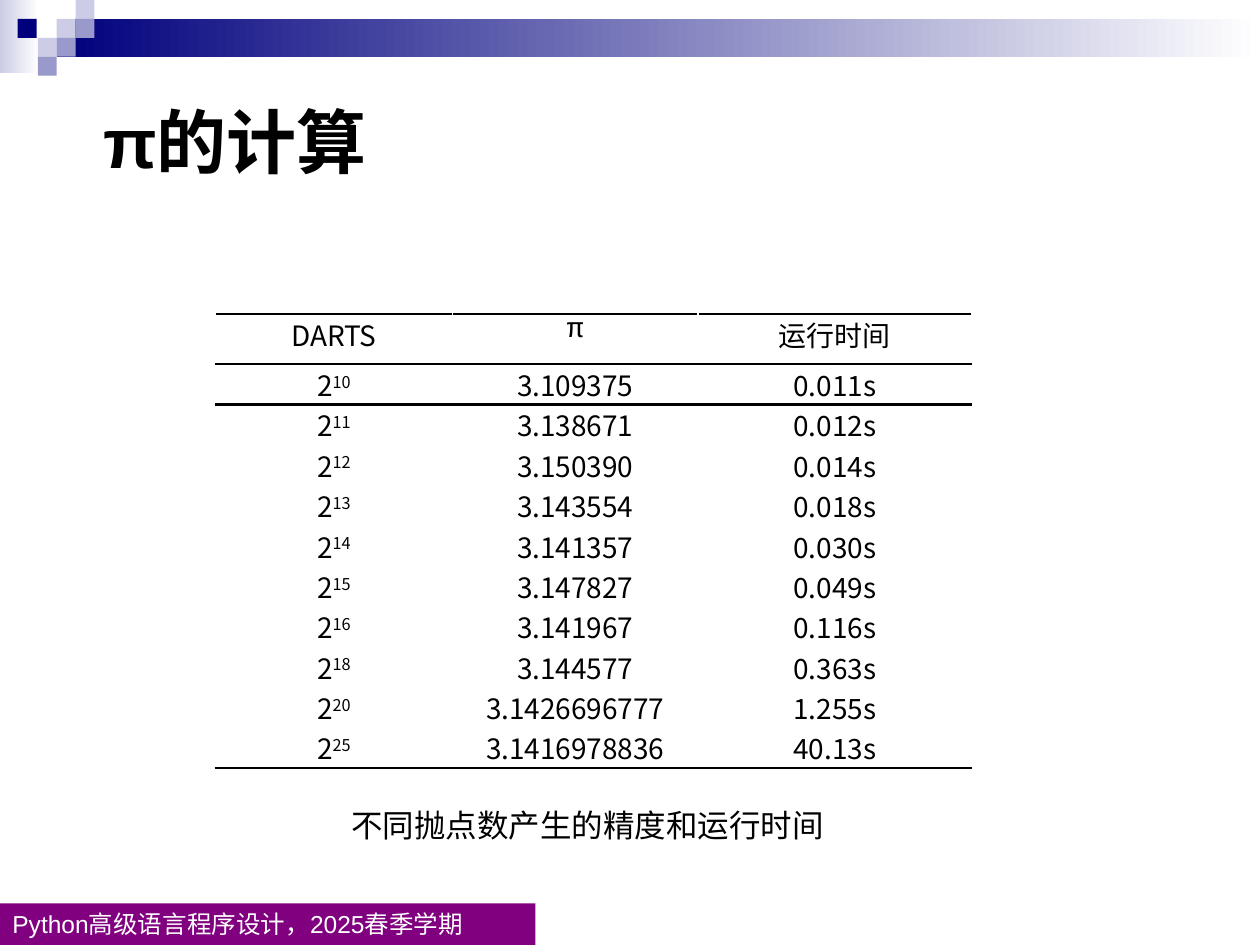
import dataclasses

import lxml.etree
import pptx
import pptx.dml.color
import pptx.enum.shapes
import pptx.enum.text
import pptx.oxml
import pptx.oxml.ns
import pptx.util

Inches = pptx.util.Inches
Pt = pptx.util.Pt
qn = pptx.oxml.ns.qn


@dataclasses.dataclass(frozen=True)
class Theme:
    navy: str = "00007D"
    mid: str = "9999CC"
    pale: str = "CCCCE6"
    white: str = "FFFFFF"
    black: str = "000000"
    purple: str = "800080"
    latin: str = "Arial"
    chinese: str = "Noto Sans CJK SC"
    title_size: int = 40
    caption_size: int = 18
    table_size: int = 16
    footer_size: int = 14
    rule_width: float = 1.5


THEME = Theme()
TILE = 0.15
TILES = [
    (0.45, 0.15, THEME.pale),
    (0.6, 0, THEME.pale),
    (0.6, 0.15, THEME.mid),
    (0.3, 0.3, THEME.pale),
    (0.14, 0.15, THEME.navy),
    (0.45, 0.3, THEME.mid),
    (0.3, 0.45, THEME.mid),
]
HEADERS = [("DARTS", THEME.chinese), ("π", "Courier New"), ("运行时间", "Calibri")]
RESULTS = [
    ("10", "3.109375", "0.011s"),
    ("11", "3.138671", "0.012s"),
    ("12", "3.150390", "0.014s"),
    ("13", "3.143554", "0.018s"),
    ("14", "3.141357", "0.030s"),
    ("15", "3.147827", "0.049s"),
    ("16", "3.141967", "0.116s"),
    ("18", "3.144577", "0.363s"),
    ("20", "3.1426696777", "1.255s"),
    ("25", "3.1416978836", "40.13s"),
]


def rgb(value):
    return pptx.dml.color.RGBColor.from_string(value)


def add_span(para, text, size, font=THEME.latin, color=THEME.black,
             bold=False, superscript=False):
    span = para.add_run()
    span.text = text
    span.font.size = Pt(size)
    span.font.bold = bold
    span.font.name = font
    span.font.color.rgb = rgb(color)
    properties = span._r.get_or_add_rPr()
    east_asian = lxml.etree.Element(qn("a:ea"), typeface=THEME.chinese)
    properties.find(qn("a:latin")).addnext(east_asian)
    if superscript:
        properties.set("baseline", "30000")
    return span


def add_text_shadow(span):
    effects = pptx.oxml.parse_xml(
        '<a:effectLst xmlns:a="http://schemas.openxmlformats.org/drawingml/2006/main">'
        '<a:outerShdw blurRad="38100" dist="38100" dir="2700000" algn="tl">'
        '<a:srgbClr val="C0C0C0"/></a:outerShdw></a:effectLst>')
    span._r.get_or_add_rPr().find(qn("a:solidFill")).addnext(effects)


def add_block(page, left, top, width, height, color, fade_to=None):
    block = page.shapes.add_shape(
        pptx.enum.shapes.MSO_SHAPE.RECTANGLE,
        Inches(left), Inches(top), Inches(width), Inches(height))
    block.shadow.inherit = False
    block.line.fill.background()
    if fade_to:
        block.fill.gradient()
        block.fill.gradient_angle = 0
        for stop, stop_color in zip(block.fill.gradient_stops, (color, fade_to)):
            stop.color.rgb = rgb(stop_color)
    else:
        block.fill.solid()
        block.fill.fore_color.rgb = rgb(color)
    return block


def add_banner(page):
    add_block(page, 0, 0, 0.31, 0.58, THEME.pale, fade_to=THEME.white)
    add_block(page, 0.45, 0.15, 9.55, 0.3, THEME.navy, fade_to=THEME.white)
    for left, top, color in TILES:
        add_block(page, left, top, TILE, TILE, color)


def add_footer(page, text):
    footer = add_block(page, 0, 7.17, 4.25, 0.33, THEME.purple)
    frame = footer.text_frame
    frame.vertical_anchor = pptx.enum.text.MSO_ANCHOR.MIDDLE
    para = frame.paragraphs[0]
    para.alignment = pptx.enum.text.PP_ALIGN.LEFT
    add_span(para, text, THEME.footer_size, color=THEME.white)


def set_title(page, text):
    title = page.shapes.title
    title.left, title.top = Inches(0.72), Inches(0.73)
    title.width, title.height = Inches(2.47), Inches(0.77)
    frame = title.text_frame
    frame.word_wrap = False
    frame.auto_size = pptx.enum.text.MSO_AUTO_SIZE.NONE
    frame.vertical_anchor = pptx.enum.text.MSO_ANCHOR.MIDDLE
    para = frame.paragraphs[0]
    para.alignment = pptx.enum.text.PP_ALIGN.LEFT
    add_text_shadow(add_span(para, text, THEME.title_size, bold=True))


def add_caption(page, text):
    box = page.shapes.add_textbox(Inches(2.69), Inches(6.35), Inches(4.06), Inches(0.4))
    box.text_frame.word_wrap = False
    add_span(box.text_frame.paragraphs[0], text, THEME.caption_size, THEME.chinese)


def add_rule(cell, side):
    line = lxml.etree.SubElement(
        cell._tc.get_or_add_tcPr(), qn(f"a:ln{side}"), w=str(Pt(THEME.rule_width)))
    fill = lxml.etree.SubElement(line, qn("a:solidFill"))
    lxml.etree.SubElement(fill, qn("a:srgbClr"), val=THEME.black)


def format_cell(cell, rules):
    for side in rules:
        add_rule(cell, side)
    cell.fill.solid()
    cell.fill.fore_color.rgb = rgb(THEME.white)
    cell.margin_left = cell.margin_right = Inches(0.07)
    cell.margin_top = cell.margin_bottom = 0
    para = cell.text_frame.paragraphs[0]
    para.alignment = pptx.enum.text.PP_ALIGN.CENTER
    return para


def add_results_table(page):
    height, header_height = 3.46, 0.4
    table = page.shapes.add_table(
        len(RESULTS) + 1, len(HEADERS),
        Inches(1.71), Inches(2.49), Inches(6.01), Inches(height)).table
    table.first_row = table.horz_banding = False
    for column, width in zip(table.columns, (1.88, 1.95, 2.17)):
        column.width = Inches(width)
    for row in table.rows:
        row.height = Inches((height - header_height) / len(RESULTS))
    table.rows[0].height = Inches(header_height)

    for column, (text, font) in enumerate(HEADERS):
        para = format_cell(table.cell(0, column), "TB")
        add_span(para, text, THEME.table_size, font)
    for row, result in enumerate(RESULTS, start=1):
        rules = {1: "T", len(RESULTS): "B"}.get(row, "")
        for column, text in enumerate(result):
            para = format_cell(table.cell(row, column), rules)
            if column == 0:
                add_span(para, "2", THEME.table_size, THEME.chinese)
            add_span(para, text, THEME.table_size, THEME.chinese,
                     superscript=column == 0)


def main():
    deck = pptx.Presentation()
    deck.slide_width, deck.slide_height = Inches(10), Inches(7.5)
    page = deck.slides.add_slide(deck.slide_layouts.get_by_name("Title Only"))
    add_banner(page)
    add_footer(page, "Python高级语言程序设计，2025春季学期")
    set_title(page, "π的计算")
    add_results_table(page)
    add_caption(page, "不同抛点数产生的精度和运行时间")
    deck.save("out.pptx")


if __name__ == "__main__":
    main()
